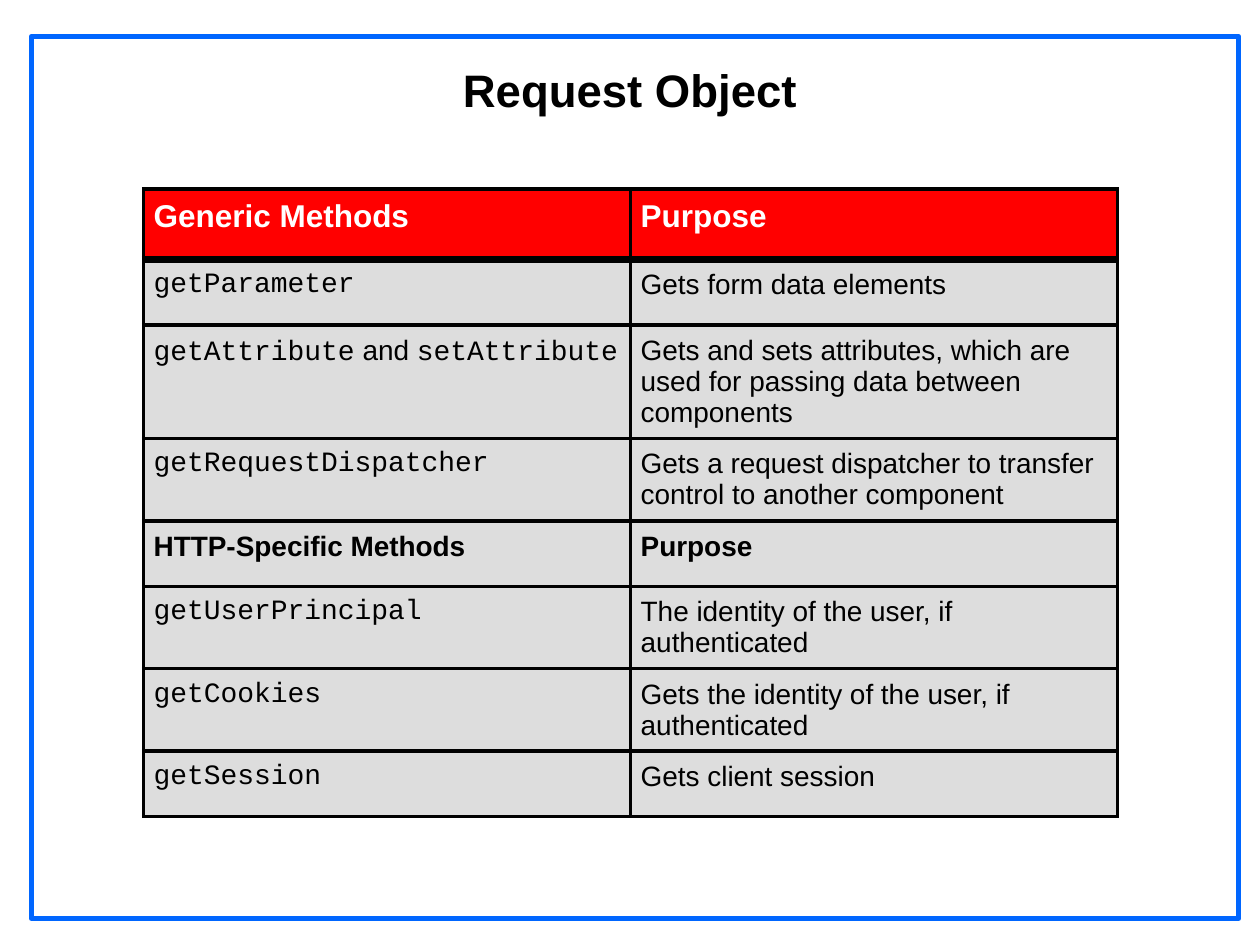
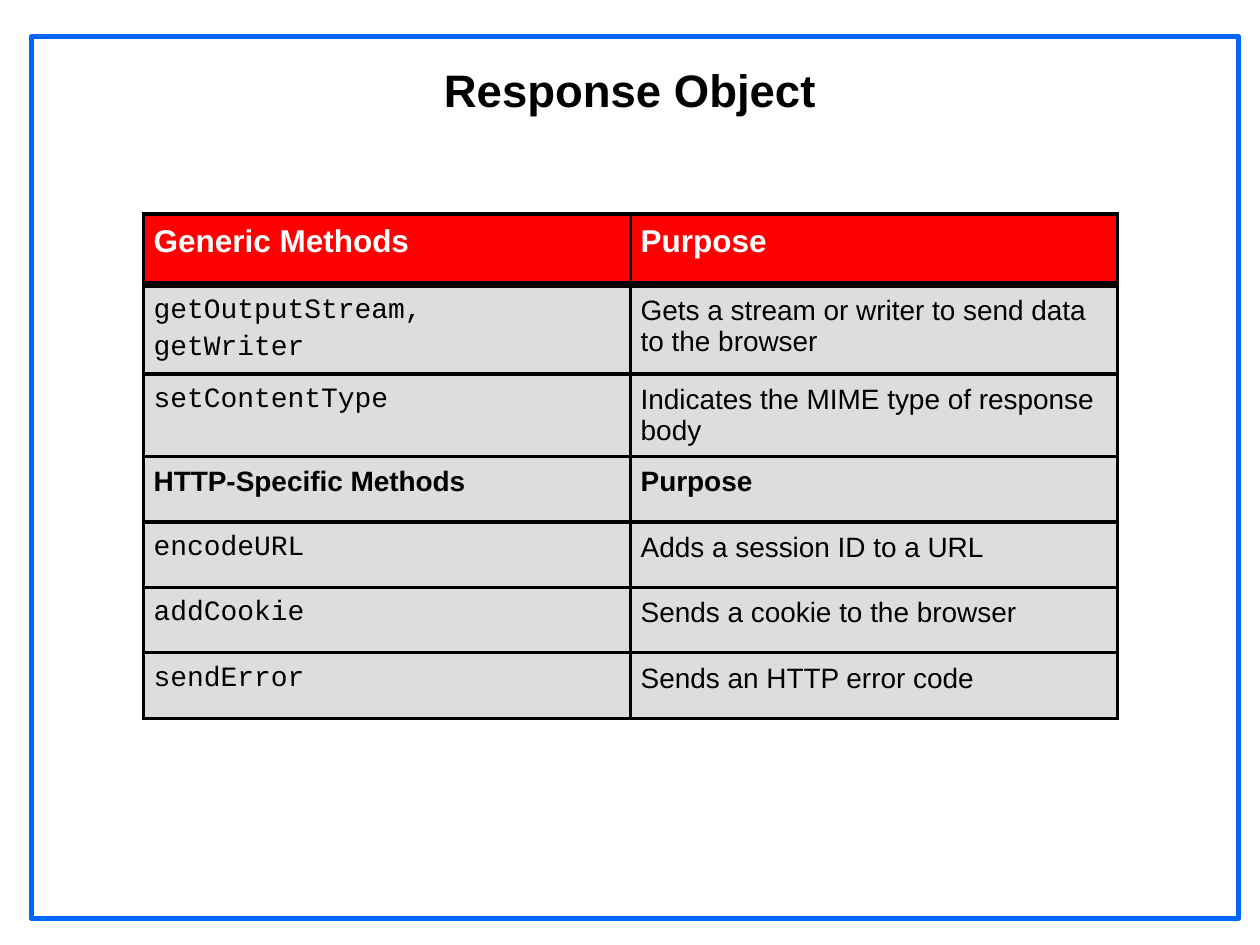
from lxml import etree
from pptx import Presentation
from pptx.dml.color import RGBColor
from pptx.enum.shapes import MSO_SHAPE
from pptx.enum.text import MSO_ANCHOR, MSO_AUTO_SIZE, PP_ALIGN
from pptx.oxml import parse_xml
from pptx.oxml.ns import nsdecls
from pptx.util import Inches, Pt

RECT = MSO_SHAPE.RECTANGLE
TOP = MSO_ANCHOR.TOP
FIXED = MSO_AUTO_SIZE.NONE
CENTER = PP_ALIGN.CENTER

BLUE, RED, GRAY = "0066FF", "FF0000", "DDDDDD"
BLACK, WHITE = "000000", "FFFFFF"
SANS, MONO = "Arial", "Courier New"
THIN, THICK = 2.25, 4.5

# Text between backticks is code; a row without code is a heading
HEAD = ("Generic Methods", "Purpose")
HTTP = ("HTTP-Specific Methods", "Purpose")
REQUEST = [
    HEAD,
    ("`getParameter`", "Gets form data elements"),
    ("`getAttribute` and `setAttribute`",
     "Gets and sets attributes, which are used for passing data between components"),
    ("`getRequestDispatcher`",
     "Gets a request dispatcher to transfer control to another component"),
    HTTP,
    ("`getUserPrincipal`", "The identity of the user, if authenticated"),
    ("`getCookies`", "Gets the identity of the user, if authenticated"),
    ("`getSession`", "Gets client session"),
]
RESPONSE = [
    HEAD,
    ("`getOutputStream,`\n`getWriter`",
     "Gets a stream or writer to send data to the browser"),
    ("`setContentType`", "Indicates the MIME type of response body"),
    HTTP,
    ("`encodeURL`", "Adds a session ID to a URL"),
    ("`addCookie`", "Sends a cookie to the browser"),
    ("`sendError`", "Sends an HTTP error code"),
]


def color(code):
    return RGBColor.from_string(code)


def apply(item, values):
    for name, value in values.items():
        setattr(item, name, value)


def margins(size):
    sides = ("left", "top", "right", "bottom")
    return {f"margin_{side}": Inches(size) for side in sides}


class Deck:
    def __init__(self):
        self.prs = Presentation()
        self.prs.slide_width = Inches(10)
        self.prs.slide_height = Inches(7.5)
        self.slide = None

    def page(self, title):
        self.slide = self.prs.slides.add_slide(self.prs.slide_layouts[5])
        self.frame()
        self.title(title)

    def frame(self):
        box = self.slide.shapes.add_shape(
            RECT, Inches(0.25), Inches(0.29), Inches(9.58), Inches(7))
        box.shadow.inherit = False
        box.fill.solid()
        box.fill.fore_color.rgb = color(WHITE)
        box.line.color.rgb = color(BLUE)
        box.line.width = Pt(3)
        # Send behind the title
        self.slide.shapes._spTree.insert(2, box._element)

    def title(self, text):
        box = self.slide.shapes.title
        apply(box, {"left": Inches(0.67), "top": Inches(0.48),
                    "width": Inches(8.66), "height": Inches(0.96)})
        apply(box.text_frame, {"word_wrap": True, "auto_size": FIXED,
                               "vertical_anchor": TOP, **margins(0.01)})
        para = box.text_frame.paragraphs[0]
        para.alignment = CENTER
        self.run(para, text, 26, bold=True)

    def run(self, para, text, size, ink=BLACK, bold=False, face=SANS):
        run = para.add_run()
        run.text = text
        apply(run.font, {"name": face, "size": Pt(size), "bold": bold})
        run.font.color.rgb = color(ink)

    def text(self, frame, text, **style):
        for i, line in enumerate(text.split("\n")):
            para = frame.add_paragraph() if i else frame.paragraphs[0]
            if i:
                para.space_before = Pt(style["size"] * 0.2)
            for j, part in enumerate(line.split("`")):
                if part:
                    self.run(para, part, face=MONO if j % 2 else SANS, **style)

    def border(self, cell, widths):
        props = cell._tc.get_or_add_tcPr()
        for side, width in widths.items():
            line = parse_xml(f'<a:ln{side} {nsdecls("a")} w="{Pt(width)}"/>')
            fill = etree.SubElement(line, line.tag.replace(f"ln{side}", "solidFill"))
            etree.SubElement(fill, line.tag.replace(f"ln{side}", "srgbClr"), val=BLACK)
            props.append(line)

    def table(self, top, rows):
        width = Inches(7.73)
        grid = self.slide.shapes.add_table(
            len(rows), 2, Inches(1.14), Inches(top), width,
            Inches(0.52) * len(rows)).table
        apply(grid, {"first_row": False, "horz_banding": False})
        for col in grid.columns:
            col.width = width // 2
        for r, row in enumerate(rows):
            head = r == 0
            grid.rows[r].height = Inches(0.56 if head else 0.52)
            style = {"size": 18 if head else 16,
                     "ink": WHITE if head else BLACK,
                     "bold": "`" not in row[0]}
            for c, text in enumerate(row):
                cell = grid.cell(r, c)
                apply(cell, {"vertical_anchor": TOP, **margins(0.08)})
                self.border(cell, {"L": THIN, "R": THIN,
                                   "T": THICK if r == 1 else THIN,
                                   "B": THICK if head else THIN})
                cell.fill.solid()
                cell.fill.fore_color.rgb = color(RED if head else GRAY)
                self.text(cell.text_frame, text, **style)


def main():
    deck = Deck()

    # Request methods
    deck.page("Request Object")
    deck.table(1.5, REQUEST)

    # Response methods
    deck.page("Response Object")
    deck.table(1.7, RESPONSE)

    deck.prs.save("out.pptx")


if __name__ == "__main__":
    main()
